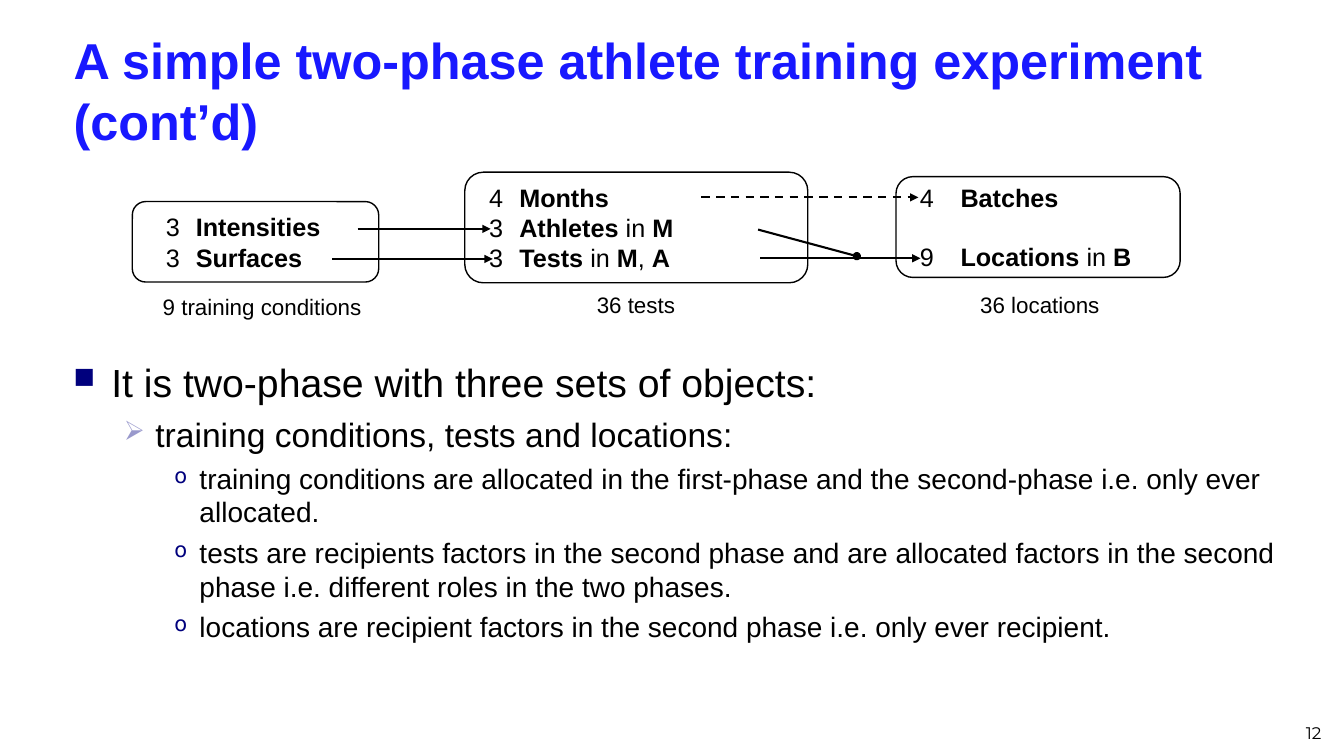
import pptx
import pptx.util
import pptx.dml.color
import pptx.enum.dml
import pptx.enum.shapes
import pptx.enum.text
import pptx.oxml.ns
from lxml import etree

Pt = pptx.util.Pt
Align = pptx.enum.text.PP_ALIGN
Anchor = pptx.enum.text.MSO_ANCHOR

COLORS = {
    "title": "1818FF",
    "ink": "000000",
    "navy": "00007D",
    "lilac": "9999CC",
    "paper": "FFFFFF",
}

BULLETS = [
    {"char": "■", "color": "navy", "percent": 75, "left": 27, "hang": 27, "size": 28},
    {"char": "➢", "color": "lilac", "percent": 80, "left": 58.5, "hang": 22.5, "size": 24},
    {"char": "o", "color": "navy", "percent": 75, "left": 90, "hang": 18, "size": 20},
]

POINTS = [
    (0, "It is two-phase with three sets of objects:"),
    (1, "training conditions, tests and locations:"),
    (2, "training conditions are allocated in the first-phase and the second-phase "
        "i.e. only ever allocated."),
    (2, "tests are recipients factors in the second phase and are allocated factors "
        "in the second phase i.e. different roles in the two phases."),
    (2, "locations are recipient factors in the second phase i.e. only ever recipient."),
]


def rgb(name):
    return pptx.dml.color.RGBColor.from_string(COLORS[name])


def add_element(parent, tag, **attributes):
    return etree.SubElement(parent, pptx.oxml.ns.qn(tag), attributes)


def style(para, size, color="ink", name="Arial", bold=False):
    para.font.size = Pt(size)
    para.font.name = name
    para.font.bold = bold
    para.font.color.rgb = rgb(color)


def indent(para, left, hang):
    properties = para._p.get_or_add_pPr()
    properties.set("marL", str(Pt(left)))
    properties.set("indent", str(-Pt(hang)))
    return properties


def add_title(page, text):
    title = page.shapes.title
    title.left, title.top, title.width, title.height = Pt(45.4), Pt(16.6), Pt(907), Pt(95)
    frame = title.text_frame
    frame.text = text
    frame.word_wrap = True
    frame.auto_size = pptx.enum.text.MSO_AUTO_SIZE.NONE
    frame.vertical_anchor = Anchor.MIDDLE
    frame.paragraphs[0].alignment = Align.LEFT
    style(frame.paragraphs[0], 36, "title", bold=True)


def add_text(page, place, text, size, align, name="Arial", anchor=Anchor.TOP):
    frame = page.shapes.add_textbox(*map(Pt, place)).text_frame
    frame.word_wrap = True
    frame.vertical_anchor = anchor
    para = frame.paragraphs[0]
    para.text = text
    para.alignment = align
    style(para, size, name=name)


def add_bullets(page, place, points):
    frame = page.shapes.add_textbox(*map(Pt, place)).text_frame
    frame.word_wrap = True
    for number, (level, text) in enumerate(points):
        para = frame.add_paragraph() if number else frame.paragraphs[0]
        bullet = BULLETS[level]
        para.text = text
        para.level = level
        if number:
            para.space_before = Pt(bullet["size"] * 0.25)
        properties = indent(para, bullet["left"], bullet["hang"])
        color = add_element(properties, "a:buClr")
        add_element(color, "a:srgbClr", val=COLORS[bullet["color"]])
        add_element(properties, "a:buSzPct", val=str(bullet["percent"] * 1000))
        add_element(properties, "a:buChar", char=bullet["char"])
        style(para, bullet["size"])


def add_factor_box(page, place, rows, left, hang, gap=0):
    box = page.shapes.add_shape(
        pptx.enum.shapes.MSO_SHAPE.ROUNDED_RECTANGLE, *map(Pt, place))
    box.adjustments[0] = 0.167
    box.shadow.inherit = False
    box.fill.background()
    box.line.color.rgb = rgb("ink")
    box.line.width = Pt(1)
    frame = box.text_frame
    frame.word_wrap = True
    frame.vertical_anchor = Anchor.MIDDLE
    for number, (levels, *words) in enumerate(rows):
        para = frame.add_paragraph() if number else frame.paragraphs[0]
        para.alignment = Align.LEFT
        if number:
            para.space_before = Pt(gap)
        indent(para, left, hang)
        style(para, 18)
        para.add_run().text = f"{levels}\t"
        for position, word in enumerate(words):
            span = para.add_run()
            span.text = word
            span.font.bold = position % 2 == 0


def add_arrow(page, ends, head="triangle", dashed=False):
    arrow = page.shapes.add_connector(
        pptx.enum.shapes.MSO_CONNECTOR.STRAIGHT, *map(Pt, ends))
    arrow.line.color.rgb = rgb("ink")
    arrow.line.width = Pt(1.5)
    if dashed:
        arrow.line.dash_style = pptx.enum.dml.MSO_LINE.DASH
    add_element(arrow.line._get_or_add_ln(), "a:tailEnd", type=head)
    add_element(arrow._element.spPr, "a:effectLst")


def main():
    deck = pptx.Presentation()
    deck.slide_width, deck.slide_height = Pt(960), Pt(540)
    page = deck.slides.add_slide(deck.slide_layouts[5])
    page.background.fill.solid()
    page.background.fill.fore_color.rgb = rgb("paper")

    add_title(page, "A simple two-phase athlete training experiment (cont’d)")
    add_bullets(page, (45.4, 252.5, 907, 287), POINTS)
    add_text(page, (727, 498, 224, 36), "12", 12, Align.RIGHT, "Montserrat", Anchor.BOTTOM)

    add_factor_box(page, (94.5, 144, 176, 57.5),
                   [(3, "Intensities"), (3, "Surfaces")], 35.5, 21.5)
    add_factor_box(page, (332, 123, 245, 79),
                   [(4, "Months"), (3, "Athletes", " in ", "M"),
                    (3, "Tests", " in ", "M", ", ", "A")], 28, 21.5)
    add_factor_box(page, (640, 126.2, 203, 72),
                   [(4, "Batches"), (9, "Locations", " in ", "B")], 35.5, 29, gap=21)

    for left, top, caption in [(94.5, 205.5, "9 training conditions"),
                               (361.5, 204.5, "36 tests"),
                               (650, 204.5, "36 locations")]:
        add_text(page, (left, top, 185.5, 26.5), caption, 16, Align.CENTER)

    add_arrow(page, (255.5, 163.5, 350.5, 163.5))
    add_arrow(page, (237.5, 185, 352, 185))
    add_arrow(page, (501, 141, 656, 141), dashed=True)
    add_arrow(page, (543, 184.5, 657.5, 184.5))
    add_arrow(page, (541.5, 164, 612, 183), head="oval")

    deck.save("out.pptx")


if __name__ == "__main__":
    main()
